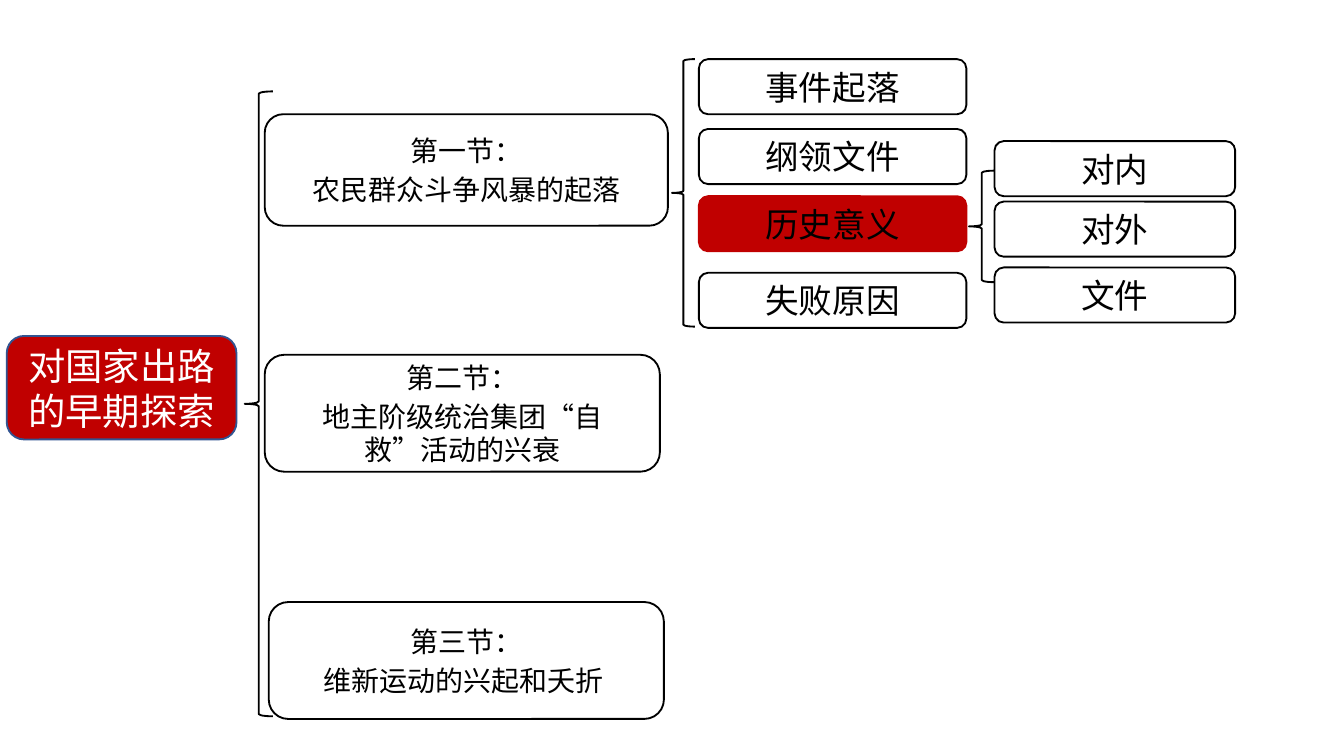
import pptx
import pptx.dml.color
import pptx.enum.shapes
import pptx.enum.text
import pptx.oxml
import pptx.oxml.ns
import pptx.util
from pptx.util import Inches

COLOURS = {"red": "C00000", "navy": "325491", "black": "000000", "white": "FFFFFF"}
FONT = "Noto Sans CJK SC"
SHAPES = pptx.enum.shapes.MSO_SHAPE


def colour(name):
    return pptx.dml.color.RGBColor.from_string(COLOURS[name])


def add_outline(page, preset, box, line, fill=None):
    shape = page.shapes.add_shape(preset, *map(Inches, box))
    shape.shadow.inherit = False
    shape.line.color.rgb = colour(line)
    shape.line.width = pptx.util.Pt(1)
    if fill:
        shape.fill.solid()
        shape.fill.fore_color.rgb = colour(fill)
    else:
        shape.fill.background()
    return shape


def add_node(page, box, text, size, fill=None, line="black", ink="black", inset=0.1):
    frame = add_outline(page, SHAPES.ROUNDED_RECTANGLE, box, line, fill).text_frame
    frame.text = text
    frame.word_wrap = True
    frame.vertical_anchor = pptx.enum.text.MSO_ANCHOR.MIDDLE
    frame.margin_left = frame.margin_right = Inches(inset)
    for index, para in enumerate(frame.paragraphs):
        para.alignment = pptx.enum.text.PP_ALIGN.CENTER
        if index:
            para.space_before = pptx.util.Pt(size * 0.2)
        for span in para.runs:
            span.font.size = pptx.util.Pt(size)
            span.font.name = FONT
            span.font.color.rgb = colour(ink)
            east_asian = pptx.oxml.parse_xml(
                f'<a:ea {pptx.oxml.ns.nsdecls("a")} typeface="{FONT}"/>')
            span.font._element.append(east_asian)


def add_brace(page, box):
    add_outline(page, SHAPES.LEFT_BRACE, box, "black")


def add_root(page, box):
    add_node(page, box, "对国家出路的早期探索", 20, "red", "navy", "white")


def add_sections(page, box):
    left, top, width, height = box
    add_brace(page, (left, top, 0.21, height))
    sections = [
        (0.15, 0.17, 3, 0.83, "第一节：\n农民群众斗争风暴的起落"),
        (0.15, 1.96, 2.94, 0.87, "第二节：\n地主阶级统治集团“自救”活动的兴衰"),
        (0.18, 3.8, 2.94, 0.87, "第三节：\n维新运动的兴起和夭折 "),
    ]
    for x, y, node_width, node_height, text in sections:
        add_node(page, (left + x, top + y, node_width, node_height), text, 15,
                 "white", inset=0.2)


def add_topics(page, box, brace, topics):
    left, top, width, height = box
    x, y, brace_width, brace_height = brace
    add_brace(page, (left + x, top + y, brace_width, brace_height))
    for offset, text, accent in topics:
        add_node(page, (left, top + offset, width, 0.41), text, 18,
                 accent, accent or "black")


def main():
    deck = pptx.Presentation()
    deck.slide_width = Inches(10)
    deck.slide_height = deck.slide_width * 9 // 16
    page = deck.slides.add_slide(deck.slide_layouts[6])
    add_root(page, (0.05, 2.5, 1.71, 0.77))
    add_sections(page, (1.82, 0.68, 3.15, 4.65))
    add_topics(page, (5.2, 0.44, 1.99, 2), (-0.2, 0, 0.17, 1.99), [
        (0, "事件起落", None), (0.52, "纲领文件", None),
        (1.02, "历史意义", "red"), (1.59, "失败原因", None)])
    add_topics(page, (7.4, 1.05, 1.79, 1.35), (-0.19, 0.22, 0.19, 0.83), [
        (0, "对内", None), (0.45, "对外", None), (0.94, "文件", None)])
    deck.save("out.pptx")


if __name__ == "__main__":
    main()
